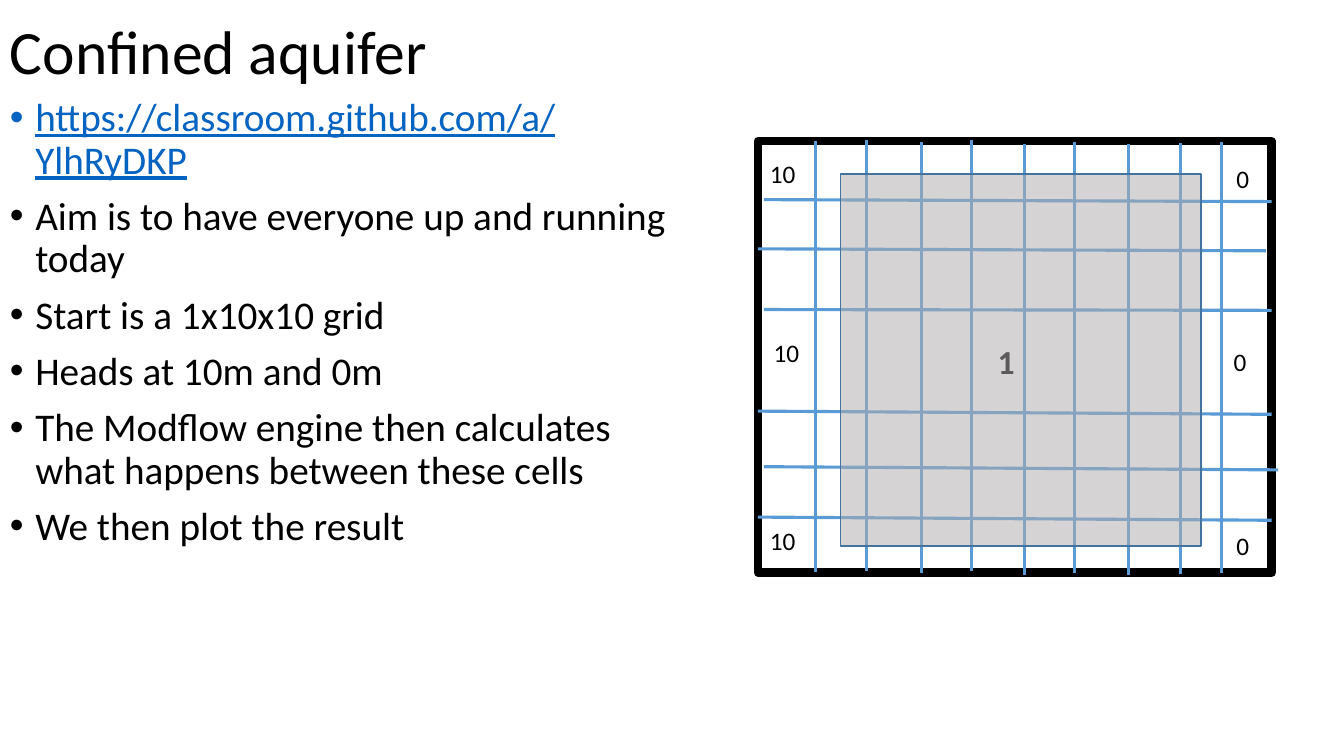
"""Build the confined aquifer slide with its model grid."""
from typing import Any, NamedTuple

import lxml.etree
import pptx
import pptx.dml.color
import pptx.enum.shapes
import pptx.enum.text
import pptx.oxml.ns
import pptx.util

Cm = pptx.util.Cm
Pt = pptx.util.Pt
RGB = pptx.dml.color.RGBColor
qn = pptx.oxml.ns.qn

BLACK = RGB(0x00, 0x00, 0x00)
WHITE = RGB(0xFF, 0xFF, 0xFF)
LINK = RGB(0x05, 0x63, 0xC1)
GRID = RGB(0x5B, 0x9B, 0xD5)
EDGE = RGB(0x43, 0x73, 0x9E)
GREY = RGB(0xAF, 0xAB, 0xAB)


class Box(NamedTuple):
    left: float
    top: float
    width: float
    height: float


class Line(NamedTuple):
    left: float
    top: float
    right: float
    base: float


class Label(NamedTuple):
    text: str
    left: float
    top: float
    size: int = 18
    bold: bool = False
    height: float = 1.02


class Plate(NamedTuple):
    box: Box
    fill: RGB
    edge: RGB
    weight: float
    solid: int = 100


TITLE = Box(0, -0.41, 29.21, 3.58)
BODY = Box(0, 2.34, 17.27, 12.09)
ITEMS = [
    "https://classroom.github.com/a/YlhRyDKP",
    "Aim is to have everyone up and running today",
    "Start is a 1x10x10 grid",
    "Heads at 10m and 0m",
    "The Modflow engine then calculates what happens between these cells",
    "We then plot the result",
]
FRAME = Plate(Box(19.1, 3.56, 12.95, 10.87), WHITE, BLACK, 6)
INNER = Plate(Box(21.18, 4.39, 9.09, 9.37), GREY, EDGE, 1, 52)
DEPTH = 10.86
COLS = [
    (20.55, 3.56), (21.84, 3.53), (23.22, 3.58),
    (24.49, 3.53), (25.81, 3.63), (27.08, 3.58),
    (28.45, 3.63), (29.74, 3.61), (30.78, 3.58),
]
ROWS = [
    Line(19.25, 5.03, 32.05, 5.08),
    Line(19.1, 6.27, 31.9, 6.32),
    Line(19.25, 7.8, 32.05, 7.82),
    Line(19.1, 10.36, 32.05, 10.44),
    Line(19.25, 11.76, 32.21, 11.84),
    Line(19.1, 13.03, 32.05, 13.11),
]
LABELS = [
    Label("10", 19.15, 3.86),
    Label("10", 19.25, 8.38),
    Label("10", 19.15, 13.11),
    Label("0", 30.91, 3.99),
    Label("0", 30.84, 8.59),
    Label("0", 30.91, 13.23),
    Label("1", 24.89, 8.46, 24, True, 1.27),
]


def apply(target: Any, form: dict[str, Any]) -> None:
    for name, value in form.items():
        setattr(target, name, value)


def add_frame(slide: Any, box: Box) -> Any:
    frame = slide.shapes.add_textbox(*map(Cm, box)).text_frame
    frame.word_wrap = True
    return frame


def write(para: Any, text: str, size: int, color: RGB = BLACK, **form: Any) -> None:
    run = para.add_run()
    run.text = text
    apply(run.font, {"name": "Calibri", "size": Pt(size), **form})
    run.font.color.rgb = color


def add_title(slide: Any) -> None:
    frame = add_frame(slide, TITLE)
    frame.vertical_anchor = pptx.enum.text.MSO_ANCHOR.MIDDLE
    para = frame.paragraphs[0]
    para.line_spacing = 0.9
    write(para, "Confined aquifer", 44)


def add_body(slide: Any) -> None:
    frame = add_frame(slide, BODY)
    for index, item in enumerate(ITEMS):
        para = frame.add_paragraph() if index else frame.paragraphs[0]
        props = para._p.get_or_add_pPr()
        apply_indent = {"marL": Cm(0.64), "indent": Cm(-0.64)}
        for name, value in apply_indent.items():
            props.set(name, str(int(value)))
        lxml.etree.SubElement(props, qn("a:buFont")).set("typeface", "Arial")
        lxml.etree.SubElement(props, qn("a:buChar")).set("char", "•")
        apply(para, {"line_spacing": 0.9, "space_before": Pt(10 if index else 0)})
        if index:
            write(para, item, 28)
        else:
            write(para, item, 28, LINK, underline=True)


def add_plate(slide: Any, plate: Plate) -> None:
    kind = pptx.enum.shapes.MSO_SHAPE.RECTANGLE
    shape = slide.shapes.add_shape(kind, *map(Cm, plate.box))
    shape.shadow.inherit = False
    shape.fill.solid()
    shape.fill.fore_color.rgb = plate.fill
    shape.line.color.rgb = plate.edge
    shape.line.width = Pt(plate.weight)
    if plate.solid < 100:
        color = shape._element.spPr.find(qn("a:solidFill"))[0]
        alpha = lxml.etree.SubElement(color, qn("a:alpha"))
        alpha.set("val", str(plate.solid * 1000))


def add_line(slide: Any, line: Line) -> None:
    kind = pptx.enum.shapes.MSO_CONNECTOR.STRAIGHT
    shape = slide.shapes.add_connector(kind, *map(Cm, line))
    shape.line.color.rgb = GRID
    shape.line.width = Pt(2.25)
    lxml.etree.SubElement(shape._element.spPr, qn("a:effectLst"))


def add_label(slide: Any, label: Label) -> None:
    frame = add_frame(slide, Box(label.left, label.top, 1.3, label.height))
    write(frame.paragraphs[0], label.text, label.size, bold=label.bold)


def main() -> None:
    deck = pptx.Presentation()
    apply(deck, {"slide_width": Cm(33.87), "slide_height": Cm(19.05)})
    slide = deck.slides.add_slide(deck.slide_layouts[6])
    add_title(slide)
    add_body(slide)
    add_plate(slide, FRAME)
    for left, top in COLS:
        add_line(slide, Line(left, top, left, top + DEPTH))
    for row in ROWS:
        add_line(slide, row)
    for label in LABELS:
        add_label(slide, label)
    add_plate(slide, INNER)
    deck.save("out.pptx")


if __name__ == "__main__":
    main()
